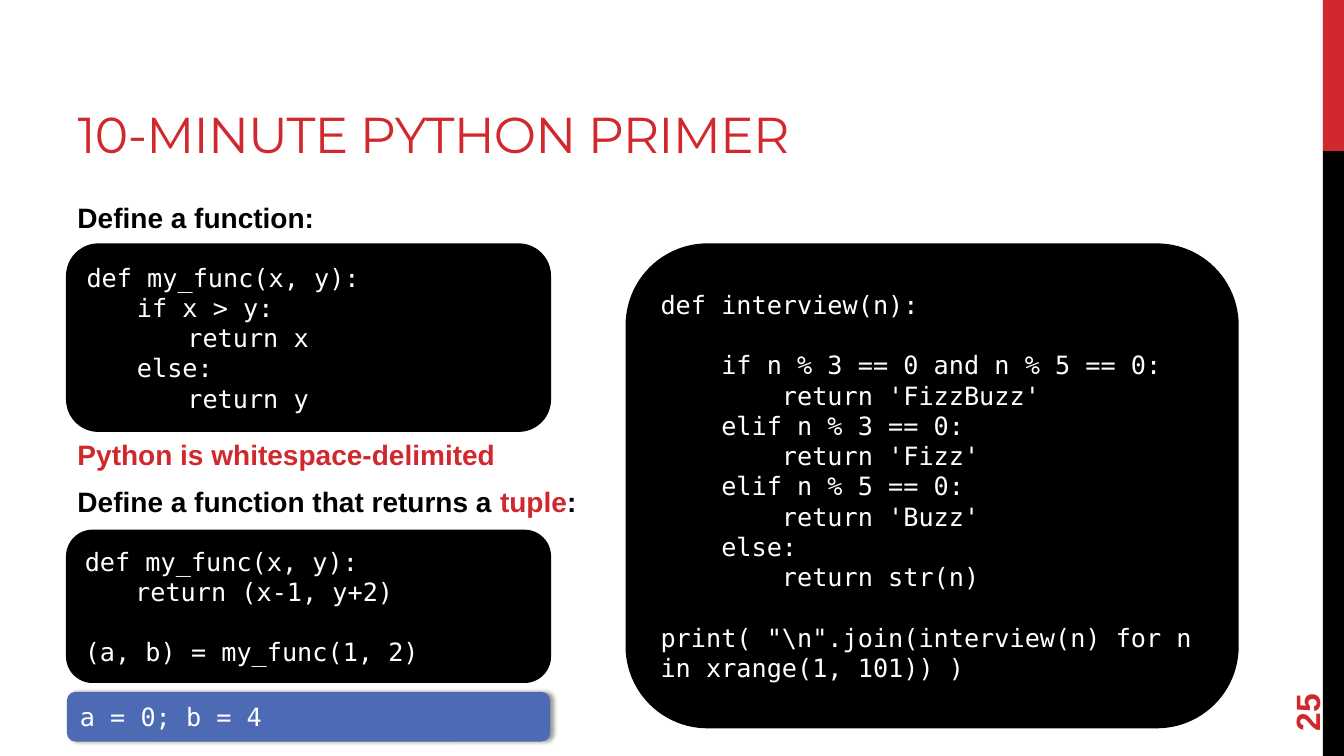
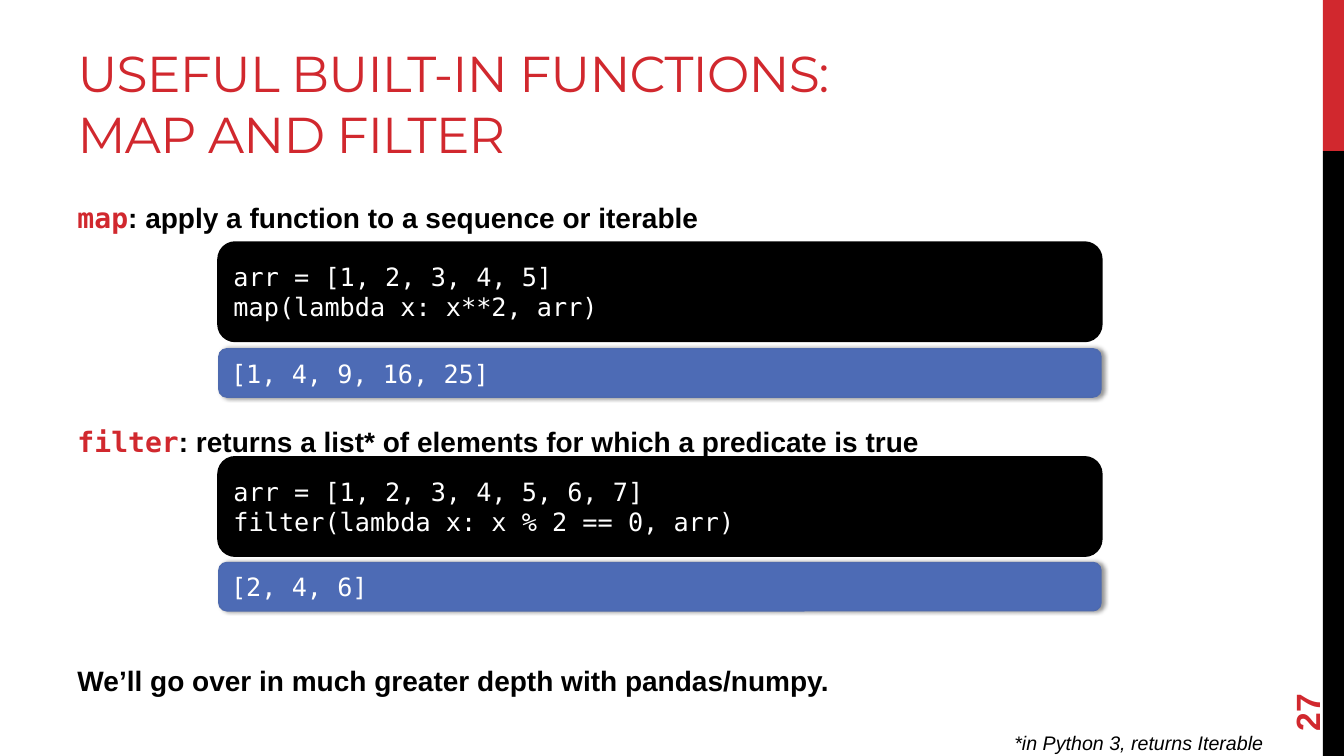
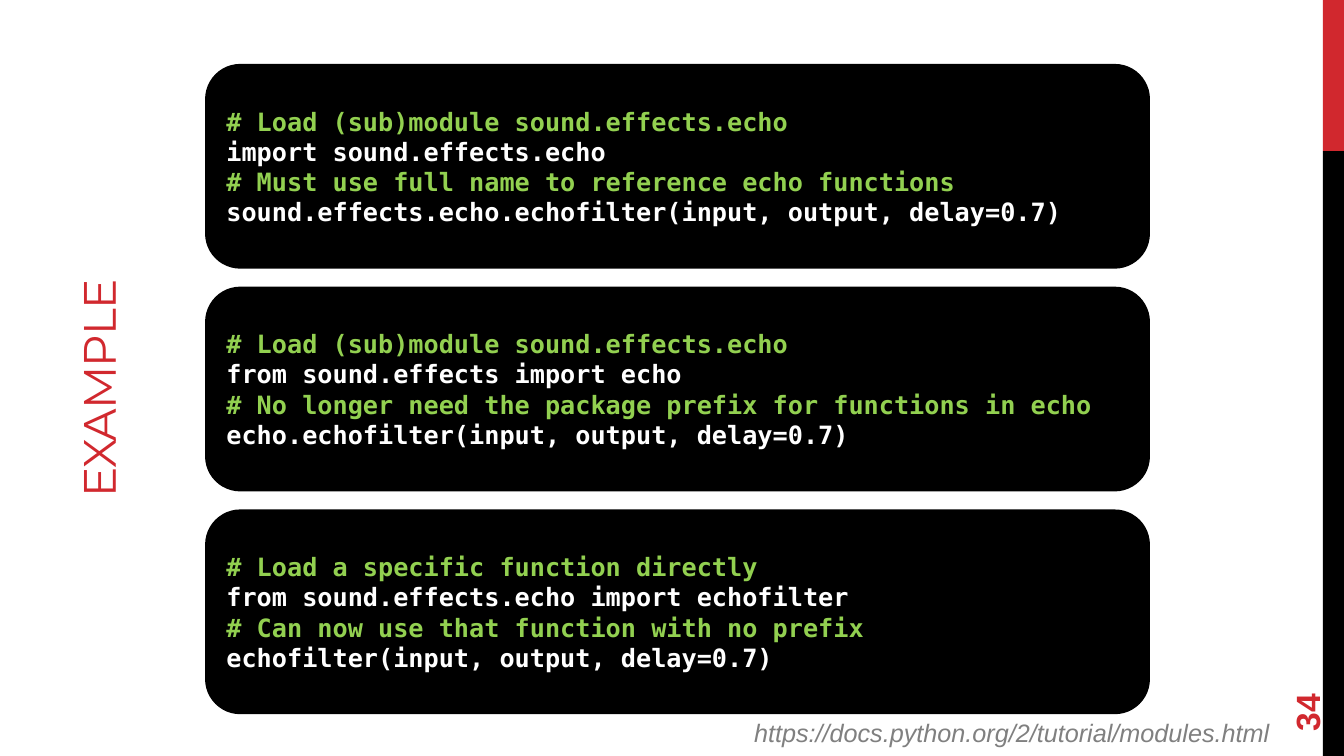
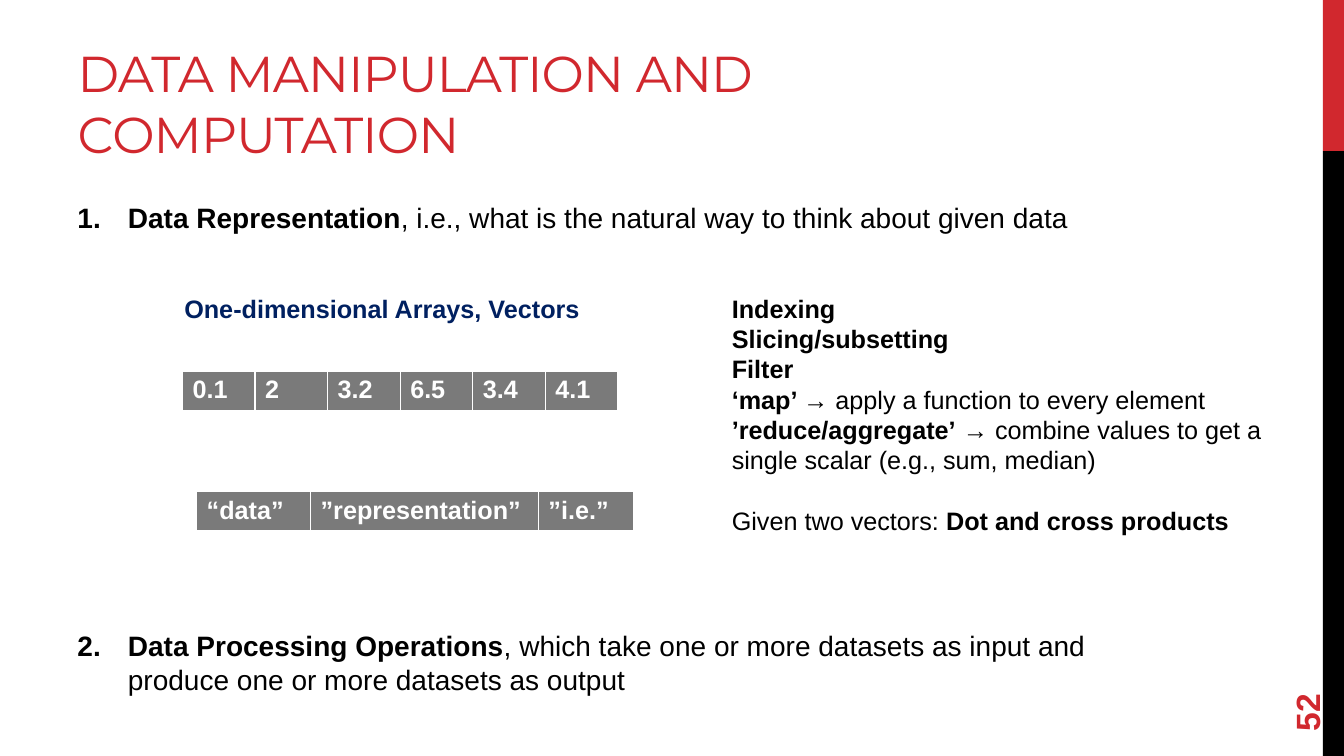
from lxml.etree import SubElement as Sub
from pptx import Presentation
from pptx.dml.color import RGBColor
from pptx.enum.shapes import MSO_SHAPE as Kind
from pptx.enum.text import MSO_ANCHOR as Anchor, MSO_AUTO_SIZE as Fit, PP_ALIGN as Align
from pptx.oxml.ns import qn
from pptx.util import Inches, Pt

RED = RGBColor(0xD1, 0x28, 0x2E)
BLACK = RGBColor(0, 0, 0)
WHITE = RGBColor(0xFF, 0xFF, 0xFF)
BLUE = RGBColor(0x4D, 0x6B, 0xB5)
EDGE = RGBColor(0x4E, 0x6A, 0xAE)
GREEN = RGBColor(0x92, 0xD0, 0x50)
GRAY = RGBColor(0x80, 0x80, 0x80)
CELL = RGBColor(0x7A, 0x7A, 0x7A)
NAVY = RGBColor(0x00, 0x20, 0x60)
SANS = "Arial"
MONO = "DejaVu Sans Mono"
HEAD = "Montserrat"


def write(frame, lines, size=18, face=SANS, align=Align.LEFT, italic=False):
    frame.word_wrap = True
    gap = 0
    fresh = True
    for line in lines:
        if not line:
            gap += size * 1.2
            continue
        para = frame.paragraphs[0] if fresh else frame.add_paragraph()
        fresh = False
        para.alignment = align
        if gap:
            para.space_before = Pt(gap)
            gap = 0
        if line[0][0].startswith("\t"):
            tabs = Sub(para._p.get_or_add_pPr(), qn("a:tabLst"))
            for stop in (0.5, 1):
                Sub(tabs, qn("a:tab"), pos=str(Inches(stop)), algn="l")
        for text, color, bold, *font in line:
            run = para.add_run()
            run.text = text
            run.font.name = font[0] if font else face
            run.font.size = Pt(size)
            run.font.bold = bold
            run.font.italic = italic
            run.font.color.rgb = color


def card(slide, box, lines, fill=BLACK, edge=BLACK, width=2.25):
    shape = slide.shapes.add_shape(Kind.ROUNDED_RECTANGLE, *map(Inches, box))
    shape.shadow.inherit = False
    shape.fill.solid()
    shape.fill.fore_color.rgb = fill
    shape.line.color.rgb = edge
    shape.line.width = Pt(width)
    shape.text_frame.vertical_anchor = Anchor.MIDDLE
    write(shape.text_frame, lines, face=MONO)
    return shape


deck = Presentation()
deck.slide_width = Inches(13.33)
deck.slide_height = Inches(7.5)
layout = deck.slide_layouts[5]

top = (0.67, 0.17, 8.44, 1.5)
side = (-2.22, 3.51, 6.33, 0.69)
heads = [
    ("10-MINUTE PYTHON PRIMER", "25", top, 0, 36, Align.LEFT),
    ("USEFUL BUILT-IN FUNCTIONS: MAP AND FILTER", "27", top, 0, 36, Align.LEFT),
    ("EXAMPLE", "34", side, 270, 32.4, Align.CENTER),
    ("DATA MANIPULATION AND COMPUTATION", "52", top, 0, 36, Align.LEFT),
]
slides = []
for name, page, box, turn, size, align in heads:
    slide = deck.slides.add_slide(layout)
    slides.append(slide)
    title = slide.shapes.title
    title.left, title.top, title.width, title.height = map(Inches, box)
    title.rotation = turn
    frame = title.text_frame
    frame.auto_size = Fit.NONE
    frame.vertical_anchor = Anchor.BOTTOM
    write(frame, [[(name, RED, False)]], size, HEAD, align)
    frame.paragraphs[0].runs[0].font._element.set("spc", "-60")
    label = slide.shapes.add_textbox(*map(Inches, (12.24, 6.37, 1.44, 0.53)))
    label.rotation = 270
    label.text_frame.vertical_anchor = Anchor.MIDDLE
    write(label.text_frame, [[(page, RED, True)]], 24)

primer, tools, sample, data = slides

for y, tall, color in ((0, 1.5, RED), (1.5, 6, BLACK)):
    band = primer.shapes.add_shape(Kind.RECTANGLE, *map(Inches, (13.12, y, 0.21, tall)))
    band.shadow.inherit = False
    band.fill.solid()
    band.fill.fore_color.rgb = color
    band.line.fill.background()
    layout.shapes.element.append(band.element)

points = [
    (primer, 1.94, 0, [("Define a function:", BLACK, True)]),
    (primer, 4.29, 0, [("Python is whitespace-delimited", RED, True)]),
    (primer, 4.76, 0, [("Define a function that returns a ", BLACK, True), ("tuple", RED, True), (":", BLACK, True)]),
    (tools, 1.94, 0, [("map", RED, True, MONO), (": apply a function to a sequence or iterable", BLACK, True)]),
    (tools, 4.16, 0, [("filter", RED, True, MONO),
                      (": returns a list* of elements for which a predicate is true", BLACK, True)]),
    (tools, 6.53, 0, [("We’ll go over in much greater depth with pandas/numpy.", BLACK, True)]),
    (data, 1.94, 1, [("Data Representation", BLACK, True),
                     (", i.e., what is the natural way to think about given data", BLACK, False)]),
    (data, 6.19, 2, [("Data Processing Operations", BLACK, True),
                     (", which take one or more datasets as input and produce one or more datasets as output", BLACK, False)]),
]
for slide, y, num, runs in points:
    box = slide.shapes.add_textbox(*map(Inches, (0.67, y, 11.11, 0.76 if num == 2 else 0.42)))
    if num:
        props = box.text_frame.paragraphs[0]._p.get_or_add_pPr()
        props.set("marL", str(Inches(0.5)))
        props.set("indent", str(Inches(-0.5)))
        Sub(props, qn("a:buFont"), typeface=SANS)
        Sub(props, qn("a:buAutoNum"), type="arabicPeriod", startAt=str(num))
    write(box.text_frame, [runs], 20)

codes = [
    (primer, (0.67, 2.43, 4.78, 1.84),
     ["def my_func(x, y):", "\tif x > y:", "\t\treturn x", "\telse:", "\t\treturn y"]),
    (primer, (0.67, 5.27, 4.78, 1.49),
     ["def my_func(x, y):", "\treturn (x-1, y+2)", "", "(a, b) = my_func(1, 2)"]),
    (primer, (6.22, 2.43, 6.05, 4.78),
     ["def interview(n):", "",
      "    if n % 3 == 0 and n % 5 == 0:", "        return 'FizzBuzz'",
      "    elif n % 3 == 0:", "        return 'Fizz'",
      "    elif n % 5 == 0:", "        return 'Buzz'",
      "    else:", "        return str(n)", "",
      "print( \"\\n\".join(interview(n) for n in xrange(1, 101)) )"]),
    (tools, (2.17, 2.41, 8.75, 0.97), ["arr = [1, 2, 3, 4, 5]", "map(lambda x: x**2, arr)"]),
    (tools, (2.17, 4.54, 8.75, 0.97), ["arr = [1, 2, 3, 4, 5, 6, 7]", "filter(lambda x: x % 2 == 0, arr)"]),
]
for slide, box, lines in codes:
    card(slide, box, [[(line, WHITE, False)] if line else [] for line in lines])

results = [
    (primer, 0.67, 6.87, 4.78, "a = 0; b = 4"),
    (tools, 2.17, 3.46, 8.75, "[1, 4, 9, 16, 25]"),
    (tools, 2.17, 5.58, 8.75, "[2, 4, 6]"),
]
for slide, x, y, wide, text in results:
    shape = card(slide, (x, y, wide, 0.48), [[(text, WHITE, False)]], BLUE, EDGE, 1)
    glow = shape.element.spPr.find(qn("a:effectLst"))
    shade = Sub(glow, qn("a:outerShdw"), blurRad=str(Pt(3.1)), dist=str(Pt(1.8)), dir="0", rotWithShape="0")
    tone = Sub(shade, qn("a:srgbClr"), val=str(BLACK))
    Sub(tone, qn("a:alpha"), val="40000")

loads = [
    ["# Load (sub)module sound.effects.echo", "import sound.effects.echo",
     "# Must use full name to reference echo functions",
     "sound.effects.echo.echofilter(input, output, delay=0.7)"],
    ["# Load (sub)module sound.effects.echo", "from sound.effects import echo",
     "# No longer need the package prefix for functions in echo",
     "echo.echofilter(input, output, delay=0.7)"],
    ["# Load a specific function directly", "from sound.effects.echo import echofilter",
     "# Can now use that function with no prefix",
     "echofilter(input, output, delay=0.7)"],
]
for i, lines in enumerate(loads):
    card(sample, (2.05, 0.65 + i * 2.21, 9.34, 2),
         [[(line, GREEN if line.startswith("#") else WHITE, True)] for line in lines])

notes = [
    (tools, (8.99, 7.2, 3.64, 0.34), "*in Python 3, returns Iterable", 14, BLACK),
    (sample, (3.17, 7.07, 9.52, 0.4), "https://docs.python.org/2/tutorial/modules.html", 18, GRAY),
]
for slide, box, text, size, color in notes:
    note = slide.shapes.add_textbox(*map(Inches, box))
    write(note.text_frame, [[(text, color, False)]], size, align=Align.RIGHT, italic=True)

label = data.shapes.add_textbox(*map(Inches, (1.73, 2.86, 4.16, 0.4)))
write(label.text_frame, [[("One-dimensional Arrays, Vectors", NAVY, True)]])

uses = data.shapes.add_textbox(*map(Inches, (7.16, 2.86, 5.46, 3.13)))
write(uses.text_frame, [
    [("Indexing", BLACK, True)],
    [("Slicing/subsetting", BLACK, True)],
    [("Filter", BLACK, True)],
    [("‘map’ ", BLACK, True), ("→ apply a function to every element", BLACK, False)],
    [("’reduce/aggregate’", BLACK, True),
     (" → combine values to get a single scalar (e.g., sum, median)", BLACK, False)],
    [],
    [("Given two vectors: ", BLACK, False), ("Dot and cross products", BLACK, True)],
])

grids = [
    (1.81, 3.68, 0.41, [0.72] * 6, ["0.1", "2", "3.2", "6.5", "3.4", "4.1"]),
    (1.95, 4.88, 0.38, [1.13, 2.26, 0.94], ["“data”", "”representation”", "”i.e.”"]),
]
for x, y, tall, widths, words in grids:
    table = data.shapes.add_table(1, len(words), *map(Inches, (x, y, sum(widths), tall))).table
    for i, (wide, word) in enumerate(zip(widths, words)):
        table.columns[i].width = Inches(wide)
        cell = table.cell(0, i)
        write(cell.text_frame, [[(word, WHITE, True)]])
        props = cell._tc.get_or_add_tcPr()
        for edge, width in (("L", 1), ("R", 1), ("T", 1), ("B", 3)):
            line = Sub(props, qn("a:ln" + edge), w=str(Pt(width)))
            Sub(Sub(line, qn("a:solidFill")), qn("a:srgbClr"), val=str(WHITE))
        cell.fill.solid()
        cell.fill.fore_color.rgb = CELL

deck.save("out.pptx")
